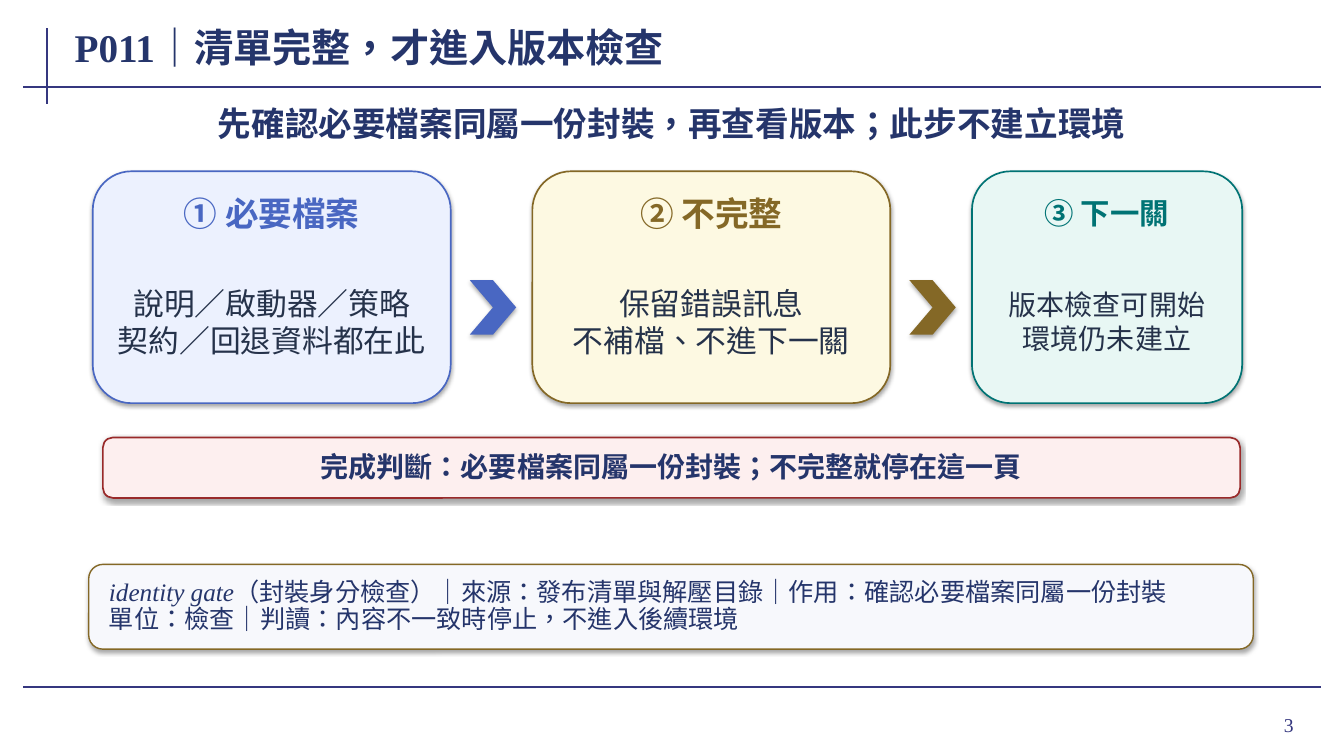
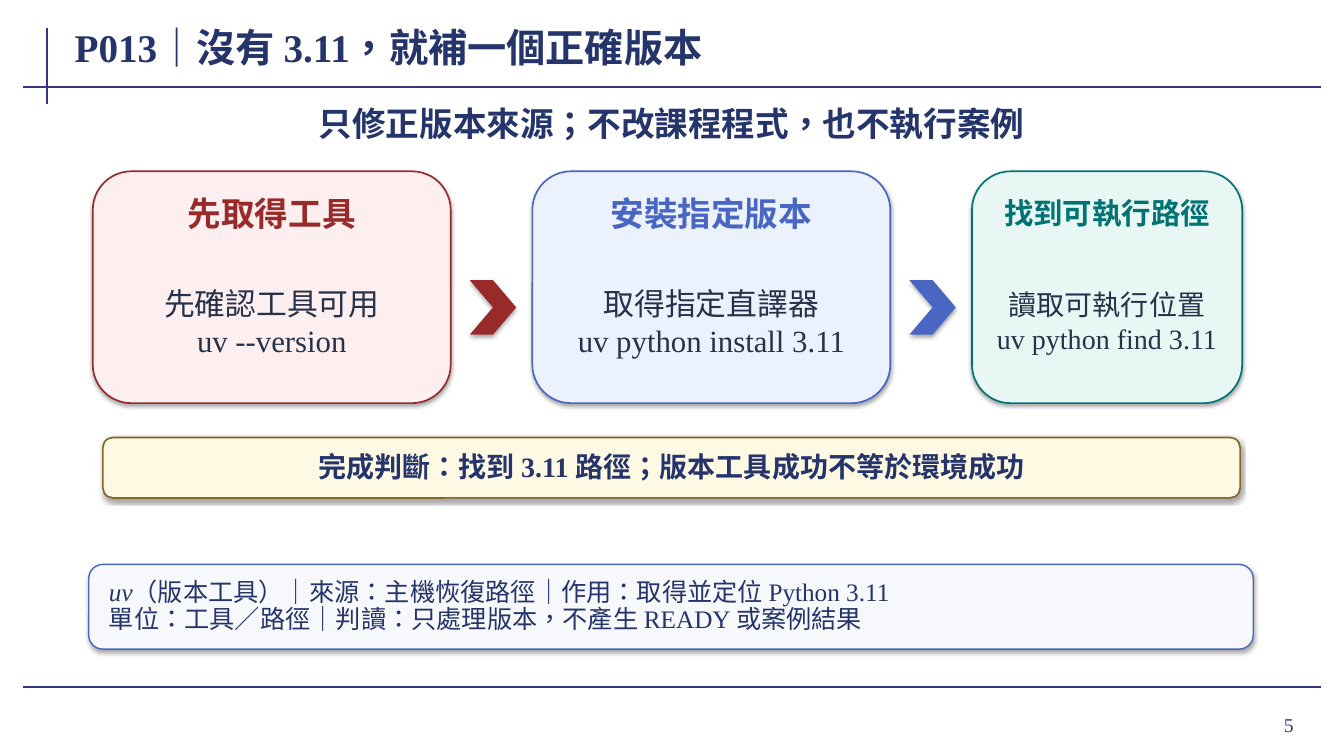
import pptx
import pptx.dml.color
import pptx.enum.dml
import pptx.enum.lang
import pptx.enum.shapes
import pptx.enum.text
import pptx.oxml
import pptx.oxml.ns
import pptx.util

Inches = pptx.util.Inches
Pt = pptx.util.Pt
RGBColor = pptx.dml.color.RGBColor
Shapes = pptx.enum.shapes.MSO_SHAPE
Align = pptx.enum.text.PP_ALIGN

WHITE = RGBColor(0xFF, 0xFF, 0xFF)
RULE = RGBColor(0x35, 0x37, 0x7F)
NAVY = RGBColor(0x25, 0x35, 0x6B)
INK = RGBColor(0x25, 0x32, 0x4A)
BLUE = RGBColor(0x49, 0x67, 0xC2)
PALE_BLUE = RGBColor(0xEC, 0xF1, 0xFE)
GOLD = RGBColor(0x84, 0x68, 0x26)
PALE_GOLD = RGBColor(0xFD, 0xF9, 0xE2)
TEAL = RGBColor(0x00, 0x73, 0x74)
PALE_TEAL = RGBColor(0xE8, 0xF7, 0xF4)
RED = RGBColor(0x99, 0x2A, 0x2A)
PALE_RED = RGBColor(0xFD, 0xEF, 0xEF)
PALE_GRAY = RGBColor(0xF7, 0xF8, 0xFC)

FONT = "Times New Roman"
TIGHT = (0.02, 0.01, 0.02, 0.01)
RULES = ((0.47, 0.28, 0.47, 1.03), (0.23, 0.86, 13.1, 0.86), (0.23, 6.82, 13.1, 6.82))

CARD_LEFT, CARD_TOP, CARD_HEIGHT, CARD_GAP = 0.92, 1.7, 2.3, 0.81
# Width, heading size and body size of each card
CARD_STYLES = ((3.55, 24, 22), (3.55, 24, 22), (2.68, 21, 20))
CHEVRON_WIDTH, CHEVRON_HEIGHT, CHEVRON_OFFSET = 0.46, 0.54, 0.19

SLIDES = (
    {
        "number": "3",
        "title": "P011｜清單完整，才進入版本檢查",
        "message": "先確認必要檔案同屬一份封裝，再查看版本；此步不建立環境",
        "cards": (
            ("① 必要檔案", ("說明／啟動器／策略", "契約／回退資料都在此"), BLUE, PALE_BLUE),
            ("② 不完整", ("保留錯誤訊息", "不補檔、不進下一關"), GOLD, PALE_GOLD),
            ("③ 下一關", ("版本檢查可開始", "環境仍未建立"), TEAL, PALE_TEAL),
        ),
        "verdict": ("完成判斷：必要檔案同屬一份封裝；不完整就停在這一頁", RED, PALE_RED),
        "term": "identity gate",
        "note": ("（封裝身分檢查）｜來源：發布清單與解壓目錄｜作用：確認必要檔案同屬一份封裝",
                 "單位：檢查｜判讀：內容不一致時停止，不進入後續環境"),
        "note_color": GOLD,
    },
    {
        "number": "5",
        "title": "P013｜沒有 3.11，就補一個正確版本",
        "message": "只修正版本來源；不改課程程式，也不執行案例",
        "cards": (
            ("先取得工具", ("先確認工具可用", "uv --version"), RED, PALE_RED),
            ("安裝指定版本", ("取得指定直譯器", "uv python install 3.11"), BLUE, PALE_BLUE),
            ("找到可執行路徑", ("讀取可執行位置", "uv python find 3.11"), TEAL, PALE_TEAL),
        ),
        "verdict": ("完成判斷：找到 3.11 路徑；版本工具成功不等於環境成功", GOLD, PALE_GOLD),
        "term": "uv",
        "note": ("（版本工具）｜來源：主機恢復路徑｜作用：取得並定位 Python 3.11",
                 "單位：工具／路徑｜判讀：只處理版本，不產生 READY 或案例結果"),
        "note_color": BLUE,
    },
)


def set_values(target, values):
    for name, value in values.items():
        setattr(target, name, value)


def add_effects(shape, shadow=True):
    """Give the shape a soft shadow below it, or an empty effect list."""
    effects = pptx.oxml.parse_xml(
        f'<a:effectLst {pptx.oxml.ns.nsdecls("a")}>'
        + ('<a:outerShdw blurRad="40000" dist="23000" dir="5400000" rotWithShape="0">'
           '<a:srgbClr val="000000"><a:alpha val="35000"/></a:srgbClr></a:outerShdw>'
           if shadow else "")
        + "</a:effectLst>")
    shape._element.spPr.append(effects)


def fill_text(shape, lines, size, color, align=Align.LEFT, bold=False,
              insets=None, spacing=None, grow=False):
    """Write lines; a line is a string or a list of (text, italic) runs."""
    auto_size = pptx.enum.text.MSO_AUTO_SIZE
    frame = shape.text_frame
    set_values(frame, {
        "word_wrap": True,
        "auto_size": auto_size.SHAPE_TO_FIT_TEXT if grow else auto_size.NONE,
        "vertical_anchor": pptx.enum.text.MSO_ANCHOR.MIDDLE,
    })
    if insets:
        sides = ("margin_left", "margin_top", "margin_right", "margin_bottom")
        set_values(frame, {side: Inches(inset) for side, inset in zip(sides, insets)})
    for index, line in enumerate(lines):
        paragraph = frame.add_paragraph() if index else frame.paragraphs[0]
        set_values(paragraph, {"alignment": align, "line_spacing": spacing})
        for text, italic in [(line, False)] if isinstance(line, str) else line:
            run = paragraph.add_run()
            run.text = text
            set_values(run.font, {
                "name": FONT, "size": Pt(size), "bold": bold, "italic": italic,
                "language_id": pptx.enum.lang.MSO_LANGUAGE_ID.TRADITIONAL_CHINESE,
            })
            run.font.color.rgb = color


def add_text(slide, box, lines, size, color, **options):
    shape = slide.shapes.add_textbox(*map(Inches, box))
    fill_text(shape, lines, size, color, **options)


def add_panel(slide, kind, box, fill, line=None, line_width=1.2):
    shape = slide.shapes.add_shape(kind, *map(Inches, box))
    shape.fill.solid()
    shape.fill.fore_color.rgb = fill
    if line is None:
        shape.line.fill.background()
    else:
        shape.line.color.rgb = line
        shape.line.width = Pt(line_width)
    add_effects(shape)
    return shape


def add_frame(slide, title, number):
    """Add the rules, title and page number that every slide has."""
    slide.background.fill.solid()
    slide.background.fill.fore_color.rgb = WHITE
    for ends in RULES:
        rule = slide.shapes.add_connector(
            pptx.enum.shapes.MSO_CONNECTOR.STRAIGHT, *map(Inches, ends))
        rule.line.color.rgb = RULE
        rule.line.width = Pt(1.5)
        add_effects(rule, shadow=False)
    add_text(slide, (11.96, 6.93, 0.97, 0.52), [number], 14, RULE, align=Align.RIGHT)
    add_text(slide, (0.72, 0.2, 10.35, 0.53), [title], 28, NAVY, bold=True,
             insets=(0.02, 0, 0.02, 0))


def add_card(slide, left, style, card):
    width, heading_size, body_size = style
    heading, body, color, fill = card
    add_panel(slide, Shapes.ROUNDED_RECTANGLE, (left, CARD_TOP, width, CARD_HEIGHT), fill, color)
    centered = {"align": Align.CENTER, "insets": TIGHT, "grow": True}
    add_text(slide, (left + 0.18, CARD_TOP + 0.2, width - 0.36, 0.42), [heading],
             heading_size, color, bold=True, **centered)
    add_text(slide, (left + 0.22, CARD_TOP + 0.88, width - 0.44, 1.22), body,
             body_size, INK, **centered)


def add_steps(slide, cards):
    """Add the row of cards, with a chevron in each gap."""
    left = CARD_LEFT
    chevron_top = CARD_TOP + (CARD_HEIGHT - CHEVRON_HEIGHT) / 2 + 0.2
    for index, (style, card) in enumerate(zip(CARD_STYLES, cards)):
        add_card(slide, left, style, card)
        left += style[0]
        if index < len(cards) - 1:
            add_panel(slide, Shapes.CHEVRON,
                      (left + CHEVRON_OFFSET, chevron_top, CHEVRON_WIDTH, CHEVRON_HEIGHT),
                      card[2])
        left += CARD_GAP


def add_verdict(slide, text, color, fill):
    band = add_panel(slide, Shapes.ROUNDED_RECTANGLE, (1.02, 4.34, 11.28, 0.6), fill, color)
    fill_text(band, [text], 20, NAVY, align=Align.CENTER, bold=True,
              insets=(0.1, 0.04, 0.1, 0.04), spacing=0.95)


def add_note(slide, term, note, color):
    panel = add_panel(slide, Shapes.ROUNDED_RECTANGLE, (0.88, 5.6, 11.55, 0.84),
                      PALE_GRAY, color, 1)
    fill_text(panel, [[(term, True), (note[0], False)], note[1]], 18, NAVY,
              insets=(0.16, 0.04, 0.16, 0.04), spacing=0.9)


def main():
    presentation = pptx.Presentation()
    presentation.slide_width = Inches(13.33)
    presentation.slide_height = Inches(7.5)
    for content in SLIDES:
        slide = presentation.slides.add_slide(presentation.slide_layouts[6])
        add_frame(slide, content["title"], content["number"])
        add_text(slide, (1.02, 1.02, 11.28, 0.4), [content["message"]], 24, NAVY,
                 align=Align.CENTER, bold=True, insets=TIGHT, grow=True)
        add_steps(slide, content["cards"])
        add_verdict(slide, *content["verdict"])
        add_note(slide, content["term"], content["note"], content["note_color"])
    presentation.save("out.pptx")


if __name__ == "__main__":
    main()
